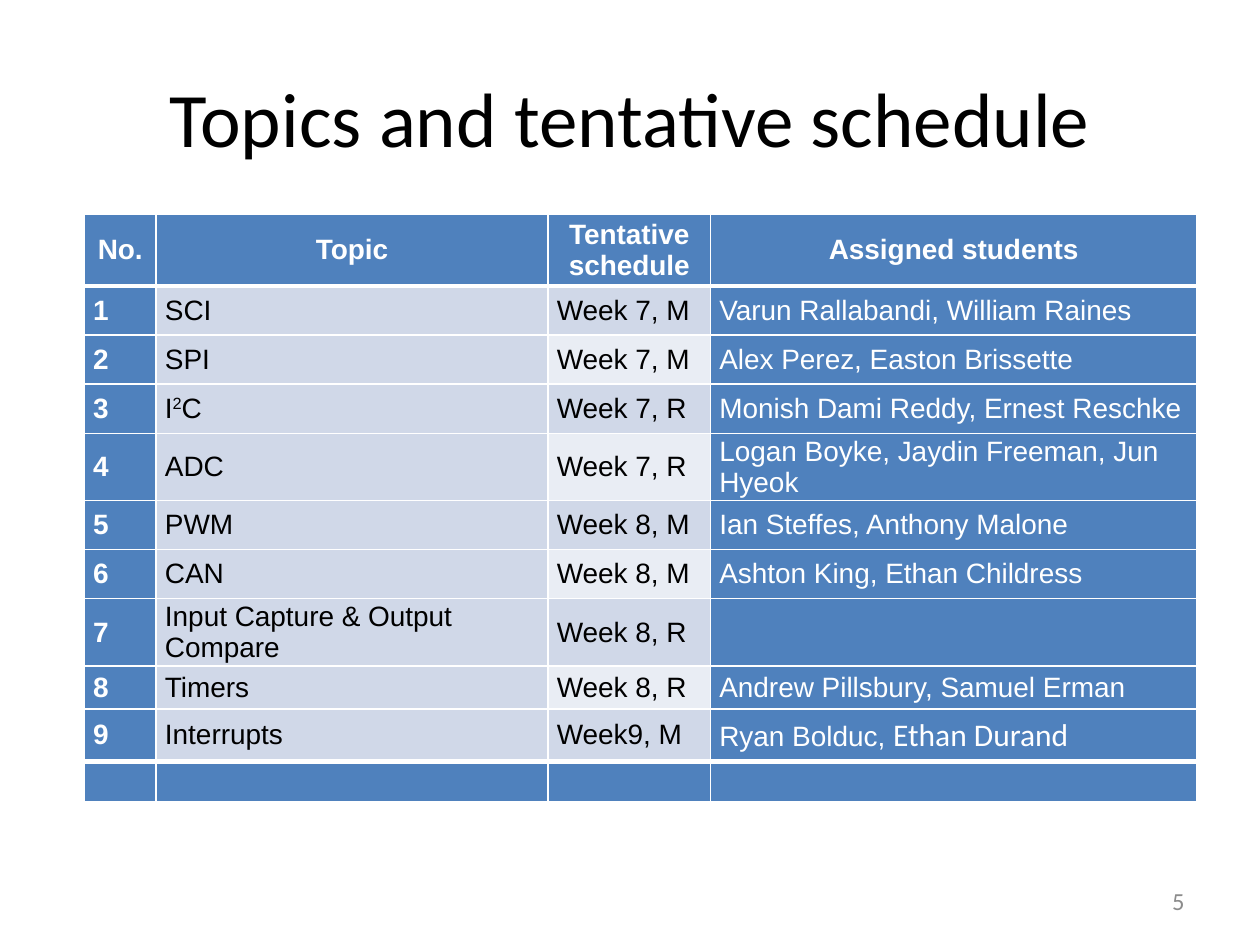
import pptx
import pptx.util
import pptx.dml.color
import pptx.enum.text
import pptx.oxml
import pptx.oxml.ns
from lxml import etree

Inches, Pt = pptx.util.Inches, pptx.util.Pt
ALIGN = pptx.enum.text.PP_ALIGN
MIDDLE = pptx.enum.text.MSO_ANCHOR.MIDDLE

COLORS = {"blue": "4F81BD", "band": "D0D8E8", "light": "E9EDF4",
          "white": "FFFFFF", "black": "000000", "gray": "8C8C8C"}

# Content
TITLE = "Topics and tentative schedule"
PAGE = "5"
HEADER = ("No.", "Topic", "Tentative schedule", "Assigned students")
TOPICS = [
    ("SCI", "Week 7, M", "Varun Rallabandi, William Raines"),
    ("SPI", "Week 7, M", "Alex Perez, Easton Brissette"),
    ([("I", {}), ("2", {"base": 30}), ("C", {})], "Week 7, R",
     "Monish Dami Reddy, Ernest Reschke"),
    ("ADC", "Week 7, R", "Logan Boyke, Jaydin Freeman, Jun Hyeok"),
    ("PWM", "Week 8, M", "Ian Steffes, Anthony Malone"),
    ("CAN", "Week 8, M", "Ashton King, Ethan Childress"),
    ("Input Capture & Output Compare", "Week 8, R", ""),
    ("Timers", "Week 8, R", "Andrew Pillsbury, Samuel Erman"),
    ("Interrupts", "Week9, M",
     [("Ryan Bolduc, ", {}), ("Ethan Durand", {"size": 18, "font": "Calibri"})]),
]
ROWS = [HEADER] + [(str(n), *topic) for n, topic in enumerate(TOPICS, 1)] + [("",) * 4]
COL_WIDTHS = [0.57, 3.11, 1.29, 3.86]
ROW_HEIGHTS = [0.57] + [0.39] * 6 + [0.4, 0.34, 0.42, 0.32]


def rgb(name):
    return pptx.dml.color.RGBColor.from_string(COLORS[name])


def add_run(p, text, size, font, color, bold=False, base=0):
    r = p.add_run()
    r.text = text
    r.font.size, r.font.name, r.font.bold = Pt(size), font, bold
    r.font.color.rgb = rgb(color)
    if base:
        r.font._element.set("baseline", str(base * 1000))


def add_text(slide, box, text, size, color, align):
    tf = slide.shapes.add_textbox(*map(Inches, box)).text_frame
    tf.word_wrap = True
    tf.vertical_anchor = MIDDLE
    p = tf.paragraphs[0]
    p.alignment = align
    add_run(p, text, size, "Calibri", color)


def set_borders(cell, top, bottom):
    """Draw white cell borders; widths are in points."""
    tcPr = cell._tc.get_or_add_tcPr()
    for i, (side, width) in enumerate((("L", 1), ("R", 1), ("T", top), ("B", bottom))):
        ln = pptx.oxml.parse_xml(
            f'<a:ln{side} {pptx.oxml.ns.nsdecls("a")} w="{Pt(width)}"><a:solidFill>'
            f'<a:srgbClr val="{COLORS["white"]}"/></a:solidFill></a:ln{side}>')
        tcPr.insert(i, ln)


def cell_fill(row, col):
    if col in (0, 3) or row in (0, len(ROWS) - 1):
        return "blue"
    return "light" if col == 2 and row % 2 == 0 else "band"


def fill_cell(cell, row, col, content):
    last = len(ROWS) - 1
    fill = cell_fill(row, col)
    cell.fill.solid()
    cell.fill.fore_color.rgb = rgb(fill)
    set_borders(cell, 3 if row in (1, last) else 1, 3 if row in (0, last - 1) else 1)
    cell.vertical_anchor = MIDDLE
    cell.margin_left = cell.margin_right = Inches(0.07)
    cell.margin_top = cell.margin_bottom = 0
    if not content:
        return
    p = cell.text_frame.paragraphs[0]
    p.space_before = Pt(6)
    if row == 0:
        p.alignment = ALIGN.CENTER
    runs = [(content, {})] if isinstance(content, str) else content
    for text, extra in runs:
        style = {"size": 16, "font": "Arial", "bold": row == 0 or col == 0,
                 "color": "white" if fill == "blue" else "black"}
        add_run(p, text, **{**style, **extra})


def main():
    prs = pptx.Presentation()
    prs.slide_width, prs.slide_height = Inches(10), Inches(7.5)
    s = prs.slides.add_slide(prs.slide_layouts[6])

    # Title
    add_text(s, (0.5, 0.3, 9, 1.25), TITLE, 44, "black", ALIGN.CENTER)

    # Schedule table
    table = s.shapes.add_table(
        len(ROWS), len(COL_WIDTHS), Inches(0.67), Inches(1.7),
        Inches(sum(COL_WIDTHS)), Inches(sum(ROW_HEIGHTS))).table
    for column, width in zip(table.columns, COL_WIDTHS):
        column.width = Inches(width)
    for i, (height, contents) in enumerate(zip(ROW_HEIGHTS, ROWS)):
        table.rows[i].height = Inches(height)
        for j, content in enumerate(contents):
            fill_cell(table.cell(i, j), i, j, content)

    # Page number
    add_text(s, (7.17, 6.95, 2.33, 0.4), PAGE, 14, "gray", ALIGN.RIGHT)

    prs.save("out.pptx")


if __name__ == "__main__":
    main()
